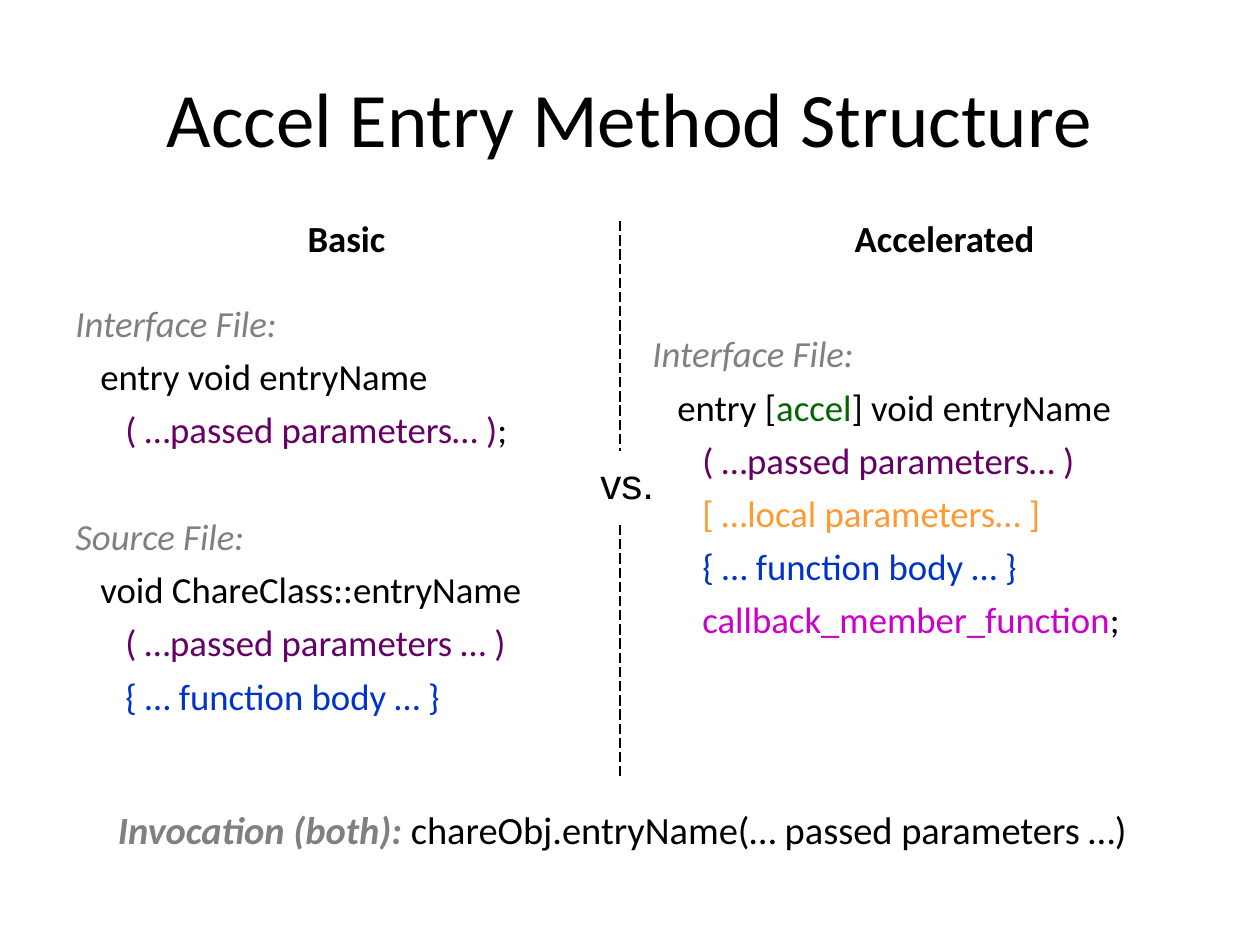
from dataclasses import dataclass

from lxml.etree import SubElement
from pptx import Presentation
from pptx.dml.color import RGBColor
from pptx.enum.dml import MSO_LINE
from pptx.enum.shapes import MSO_CONNECTOR
from pptx.enum.text import MSO_ANCHOR, MSO_AUTO_SIZE, PP_ALIGN
from pptx.oxml.ns import qn
from pptx.util import Emu, Pt

PX_PER_INCH = 126
LEVEL_INDENT = 25


@dataclass(frozen=True)
class Theme:
    font: str = "Calibri"
    versus_font: str = "Arial"
    title: int = 44
    versus: int = 24
    invocation: int = 22
    code: int = 21
    gap: float = 5.2
    black: str = "000000"
    grey: str = "808080"
    green: str = "006600"
    purple: str = "660066"
    orange: str = "FF9933"
    blue: str = "0033CC"
    magenta: str = "CC00CC"


THEME = Theme()


@dataclass(frozen=True)
class Span:
    text: str
    color: str = THEME.black
    bold: bool = False
    italic: bool = False


@dataclass(frozen=True)
class Line:
    spans: tuple[Span, ...]
    level: int = 0
    size: int = THEME.code
    before: float = THEME.gap
    align: PP_ALIGN = PP_ALIGN.LEFT
    font: str = THEME.font
    spacing: float = 1.0


@dataclass(frozen=True)
class Box:
    left: int
    top: int
    width: int
    height: int


def px(n: int) -> Emu:
    return Emu(round(n * 914400 / PX_PER_INCH))


def place(s, box: Box) -> None:
    s.left, s.top = px(box.left), px(box.top)
    s.width, s.height = px(box.width), px(box.height)


def write(s, lines: list[Line], anchor=MSO_ANCHOR.TOP) -> None:
    tf = s.text_frame
    tf.word_wrap = True
    tf.auto_size = MSO_AUTO_SIZE.NONE
    tf.vertical_anchor = anchor
    for i, line in enumerate(lines):
        p = tf.paragraphs[0] if i == 0 else tf.add_paragraph()
        p.alignment = line.align
        p.space_before = Pt(line.before)
        p.line_spacing = line.spacing
        pPr = p._p.get_or_add_pPr()
        pPr.set("marL", str(px(line.level * LEVEL_INDENT)))
        pPr.set("indent", "0")
        SubElement(pPr, qn("a:buNone"))
        for span in line.spans:
            r = p.add_run()
            r.text = span.text
            r.font.name, r.font.size = line.font, Pt(line.size)
            r.font.bold, r.font.italic = span.bold, span.italic
            r.font.color.rgb = RGBColor.from_string(span.color)


def add_text(slide, box: Box, lines: list[Line]) -> None:
    write(slide.shapes.add_textbox(*map(px, (box.left, box.top, box.width, box.height))), lines)


def add_divider(slide, x: int, top: int, bottom: int) -> None:
    c = slide.shapes.add_connector(MSO_CONNECTOR.STRAIGHT, px(x), px(top), px(x), px(bottom))
    c.line.color.rgb = RGBColor.from_string(THEME.black)
    c.line.width = Pt(0.75)
    c.line.dash_style = MSO_LINE.LONG_DASH
    SubElement(c._element.spPr, qn("a:effectLst"))


def heading(text: str) -> Line:
    return Line((Span(text, bold=True),), align=PP_ALIGN.CENTER)


def file_label(text: str, before: float) -> Line:
    return Line((Span(text, THEME.grey, italic=True),), before=before)


def signature(*spans: Span) -> Line:
    return Line(spans, level=1)


def part(text: str, color: str, end: str = "") -> Line:
    spans = (Span(text, color),) + ((Span(end),) if end else ())
    return Line(spans, level=2)


BASIC = [
    heading("Basic"),
    file_label("Interface File:", 22.9),
    signature(Span("entry void entryName")),
    part("( …passed parameters… )", THEME.purple, ";"),
    file_label("Source File:", 36),
    signature(Span("void ChareClass::entryName")),
    part("( …passed parameters … )", THEME.purple),
    part("{ … function body … }", THEME.blue),
]

ACCELERATED = [
    heading("Accelerated"),
    file_label("Interface File:", 40.5),
    signature(Span("entry ["), Span("accel", THEME.green), Span("] void entryName")),
    part("( …passed parameters… )", THEME.purple),
    part("[ …local parameters… ]", THEME.orange),
    part("{ … function body … }", THEME.blue),
    part("callback_member_function", THEME.magenta, ";"),
]


def main() -> None:
    prs = Presentation()
    prs.slide_width, prs.slide_height = px(1260), px(945)
    slide = prs.slides.add_slide(prs.slide_layouts[1])

    # Title and invocation
    title, body = slide.placeholders
    place(title, Box(63, 38, 1134, 157))
    write(title, [Line((Span("Accel Entry Method Structure"),), size=THEME.title,
                       before=0, align=PP_ALIGN.CENTER)], MSO_ANCHOR.MIDDLE)
    place(body, Box(8, 809, 1229, 95))
    write(body, [Line((Span("Invocation (both): ", THEME.grey, bold=True, italic=True),
                       Span("chareObj.entryName(… passed parameters …)")),
                      size=THEME.invocation, before=5.5,
                      align=PP_ALIGN.CENTER, spacing=0.8)])

    # Compared columns
    add_text(slide, Box(640, 210, 609, 525), ACCELERATED)
    add_text(slide, Box(63, 210, 567, 525), BASIC)

    # Divider, broken by the "vs." label
    add_text(slide, Box(588, 451, 95, 63),
             [Line((Span("vs."),), size=THEME.versus, before=15, font=THEME.versus_font)])
    for top, bottom in ((221, 451), (525, 777)):
        add_divider(slide, 620, top, bottom)

    prs.save("out.pptx")


if __name__ == "__main__":
    main()
